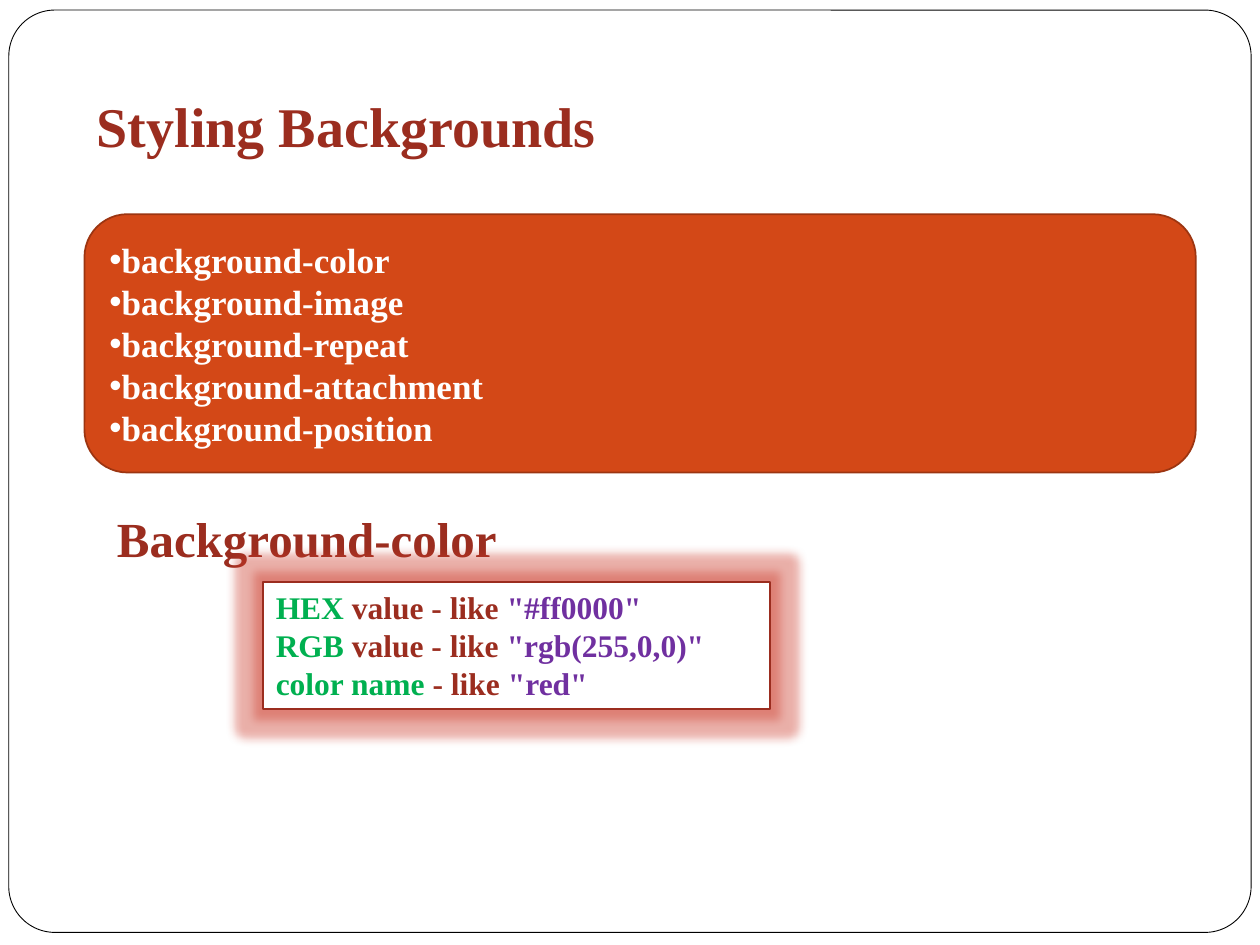
"""Build the slide on styling backgrounds in CSS."""
from lxml import etree
from pptx import Presentation
from pptx.dml.color import RGBColor
from pptx.enum import shapes, text
from pptx.oxml import ns
from pptx.util import Inches, Pt

FONT = "Times New Roman"
RUST, ORANGE, WHITE = "9B2D1F", "D34817", "FFFFFF"
GREEN, PURPLE = "00B050", "7030A0"
ROUNDED = shapes.MSO_SHAPE.ROUNDED_RECTANGLE
RECTANGLE = shapes.MSO_SHAPE.RECTANGLE

HEADINGS = [
    ("Styling Backgrounds", 32, (0.67, 0.68, 8.19, 0.64)),
    ("Background-color", 28, (0.83, 3.99, 3.78, 0.57)),
]
PROPERTIES = [
    "background-color",
    "background-image",
    "background-repeat",
    "background-attachment",
    "background-position",
]
COLOR_FORMATS = [
    ("HEX", " value - like ", '"#ff0000"'),
    ("RGB", " value - like ", '"rgb(255,0,0)"'),
    ("color name ", "- like ", '"red"'),
]


def rgb(value):
    return RGBColor.from_string(value)


def add_panel(slide, kind, box, fill, line, width):
    shape = slide.shapes.add_shape(kind, *map(Inches, box))
    shape.shadow.inherit = False
    shape.fill.solid()
    shape.fill.fore_color.rgb = rgb(fill)
    shape.line.color.rgb = rgb(line)
    shape.line.width = Pt(width)
    shape.text_frame.word_wrap = True
    return shape


def write_lines(frame, lines, size, colors, bullet=None):
    for index, pieces in enumerate(lines):
        paragraph = frame.paragraphs[0] if index == 0 else frame.add_paragraph()
        paragraph.alignment = text.PP_ALIGN.LEFT
        if bullet:
            properties = paragraph._p.get_or_add_pPr()
            etree.SubElement(properties, ns.qn("a:buFont"), typeface="Arial")
            etree.SubElement(properties, ns.qn("a:buChar"), char=bullet)
        for piece, color in zip(pieces, colors):
            run = paragraph.add_run()
            run.text = piece
            run.font.name = FONT
            run.font.size = Pt(size)
            run.font.bold = True
            run.font.color.rgb = rgb(color)


def add_glow(shape, color, radius, opacity):
    effects = shape._element.spPr.find(ns.qn("a:effectLst"))
    glow = etree.SubElement(effects, ns.qn("a:glow"), rad=str(Pt(radius)))
    tint = etree.SubElement(glow, ns.qn("a:srgbClr"), val=color)
    etree.SubElement(tint, ns.qn("a:alpha"), val=str(opacity * 1000))


def main():
    presentation = Presentation()
    presentation.slide_width, presentation.slide_height = Inches(10), Inches(7.5)
    slide = presentation.slides.add_slide(presentation.slide_layouts[6])

    frame = add_panel(slide, ROUNDED, (0.07, 0.08, 9.86, 7.32), WHITE, "000000", 0.5)
    frame.adjustments[0] = 0.05

    for heading, size, box in HEADINGS:
        text_box = slide.shapes.add_textbox(*map(Inches, box))
        text_box.text_frame.word_wrap = True
        write_lines(text_box.text_frame, [(heading,)], size, [RUST])

    property_panel = add_panel(slide, ROUNDED, (0.67, 1.7, 8.82, 2.05), ORANGE, "9C3511", 1)
    property_panel.text_frame.vertical_anchor = text.MSO_ANCHOR.MIDDLE
    write_lines(property_panel.text_frame, [(name,) for name in PROPERTIES], 20, [WHITE], "•")

    format_panel = add_panel(slide, RECTANGLE, (2.09, 4.62, 4.02, 1.01), WHITE, RUST, 1)
    format_panel.text_frame.vertical_anchor = text.MSO_ANCHOR.TOP
    add_glow(format_panel, "CC3A2A", 11, 40)
    write_lines(format_panel.text_frame, COLOR_FORMATS, 18, [GREEN, RUST, PURPLE])

    presentation.save("out.pptx")


if __name__ == "__main__":
    main()
